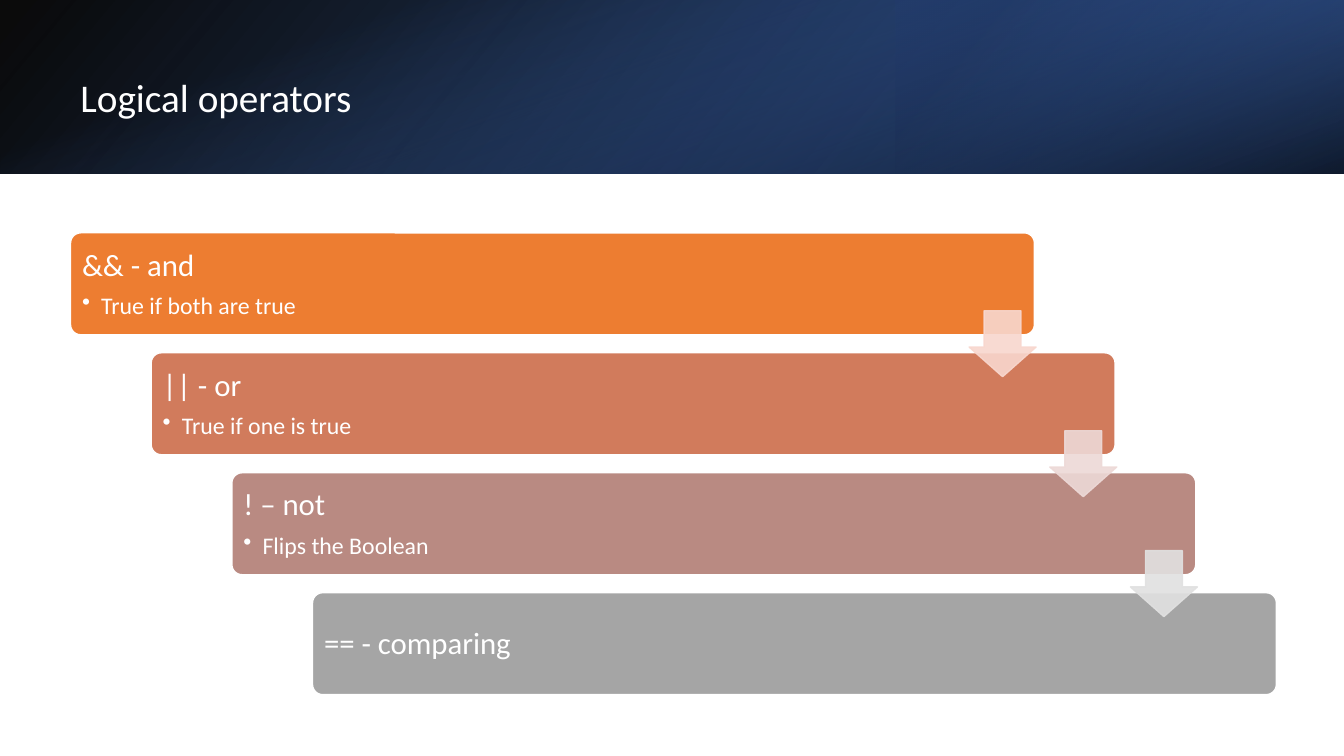
from dataclasses import dataclass

from lxml import etree
from pptx import Presentation
from pptx.dml.color import RGBColor
from pptx.enum.shapes import MSO_SHAPE
from pptx.enum.text import MSO_ANCHOR, MSO_AUTO_SIZE
from pptx.oxml.ns import qn
from pptx.util import Emu, Inches, Pt

RECT = MSO_SHAPE.RECTANGLE
ROUNDED = MSO_SHAPE.ROUNDED_RECTANGLE
DOWN_ARROW = MSO_SHAPE.DOWN_ARROW
MIDDLE = MSO_ANCHOR.MIDDLE
GROW = MSO_AUTO_SIZE.SHAPE_TO_FIT_TEXT

SLIDE_W, SLIDE_H = Inches(13.33), Inches(7.5)
BANNER_H = 0.23  # share of the slide height
LEFT, TOP = Inches(0.7), Inches(2.31)  # grid origin: the first card
COL, ROW = Inches(0.8), Inches(1.19)  # one stair step


@dataclass(frozen=True)
class Theme:
    font: str = "Calibri"
    text: str = "FFFFFF"
    outline: str = "FFFFFF"
    black: str = "000000"
    blue: str = "4472C4"
    mid_blue: str = "2F5597"
    dark_blue: str = "203864"
    title_pt: int = 28
    operator_pt: int = 22
    meaning_pt: int = 17
    line_pt: int = 1


THEME = Theme()


@dataclass(frozen=True)
class Stop:
    share: float
    color: str
    alpha: int = 100


@dataclass(frozen=True)
class Veil:
    """Gradient layer of the banner; left and width are shares of the slide width."""
    left: float
    width: float
    rotation: int
    flipped: bool
    angle: int
    stops: tuple[Stop, Stop]


@dataclass(frozen=True)
class Card:
    operator: str
    meaning: str
    color: str
    arrow: str
    text_cols: float = 10.06


VEILS = (
    Veil(0, 1, 0, True, 140, (Stop(0, THEME.black, 96), Stop(1, THEME.mid_blue))),
    Veil(2 / 3, 1 / 3, 180, True, 320,
         (Stop(0.19, THEME.dark_blue, 68), Stop(1, THEME.blue, 79))),
    Veil(0, 1, 90, False, 340, (Stop(0.23, THEME.blue, 0), Stop(0.99, THEME.black, 74))),
)
CARDS = (
    Card("&& - and", "True if both are true", "ED7D31", "F8D7CE", 10.49),
    Card("|| - or", "True if one is true", "D17B5C", "EDD9D7"),
    Card("! – not", "Flips the Boolean", "B98A82", "E1E1E1"),
    Card("== - comparing", "", "A5A5A5", ""),
)


def cell(col: float, row: float, cols: float, rows: float) -> tuple[Emu, ...]:
    """Turn grid units into left, top, width and height."""
    return (Emu(int(LEFT + col * COL)), Emu(int(TOP + row * ROW)),
            Emu(int(cols * COL)), Emu(int(rows * ROW)))


def set_alpha(sp, alphas) -> None:
    """Give each colour of a shape, in order, its opacity in percent."""
    for clr, alpha in zip(sp._element.spPr.iter(qn("a:srgbClr")), alphas):
        etree.SubElement(clr, qn("a:alpha"), val=str(alpha * 1000))


def add_veil(s, veil: Veil) -> None:
    x, y, w, h = veil.left * SLIDE_W, 0, veil.width * SLIDE_W, BANNER_H * SLIDE_H
    if veil.rotation == 90:
        x, y, w, h = x + (w - h) / 2, (h - w) / 2, h, w
    sp = s.shapes.add_shape(RECT, *(Emu(int(v)) for v in (x, y, w, h)))
    sp.shadow.inherit = False
    sp.line.fill.background()
    sp.rotation = veil.rotation
    if veil.flipped:
        sp._element.spPr.find(qn("a:xfrm")).set("flipH", "1")
    sp.fill.gradient()
    sp.fill.gradient_angle = 360 - veil.angle
    for gs, stop in zip(sp.fill.gradient_stops, veil.stops):
        gs.position = stop.share
        gs.color.rgb = RGBColor.from_string(stop.color)
    set_alpha(sp, [stop.alpha for stop in veil.stops])


def add_block(s, kind, box, color: str, line: str, adjustments):
    sp = s.shapes.add_shape(kind, *box)
    sp.shadow.inherit = False
    sp.fill.solid()
    sp.fill.fore_color.rgb = RGBColor.from_string(color)
    sp.line.color.rgb = RGBColor.from_string(line)
    sp.line.width = Pt(THEME.line_pt)
    for i, value in enumerate(adjustments):
        sp.adjustments[i] = value
    return sp


def write(p, text: str, *, size: int, after: int = 0, bullet: bool = False) -> None:
    """Fill a paragraph; after is the space below in percent of a line."""
    r = p.add_run()
    r.text = text
    r.font.name = THEME.font
    r.font.size = Pt(size)
    r.font.color.rgb = RGBColor.from_string(THEME.text)
    pPr = p._p.get_or_add_pPr()
    if after:
        p.line_spacing = 0.9
        etree.SubElement(pPr.get_or_add_spcAft(), qn("a:spcPct"), val=str(after * 1000))
    if bullet:
        p.level = 1
        indent = Inches(0.19)
        pPr.set("marL", str(indent))
        pPr.set("indent", str(-indent))
        etree.SubElement(pPr, qn("a:buChar"), char="•")


def add_text_frame(s, box):
    tf = s.shapes.add_textbox(*box).text_frame
    tf.word_wrap = True
    return tf


def add_card(s, step: int, card: Card) -> None:
    add_block(s, ROUNDED, cell(step, step, 11.95, 0.85), card.color, THEME.outline, [0.1])
    tf = add_text_frame(s, cell(step + 0.03, step + 0.03, card.text_cols, 0.8))
    tf.vertical_anchor = MIDDLE
    tf.margin_left = tf.margin_right = tf.margin_top = tf.margin_bottom = Inches(0.09)
    write(tf.paragraphs[0], card.operator, size=THEME.operator_pt, after=35)
    if card.meaning:
        write(tf.add_paragraph(), card.meaning, size=THEME.meaning_pt, after=15, bullet=True)


def add_arrow(s, step: int, color: str) -> None:
    box = cell(step + 11.14, step + 0.65, 0.83, 0.55)
    sp = add_block(s, DOWN_ARROW, box, color, color, [0.55, 0.45])
    set_alpha(sp, [90, 90])


def add_title(s, text: str) -> None:
    tf = add_text_frame(s, cell(0, -1.37, 7.64, 0.48))
    tf.auto_size = GROW
    write(tf.paragraphs[0], text, size=THEME.title_pt)


def main() -> None:
    prs = Presentation()
    prs.slide_width, prs.slide_height = SLIDE_W, SLIDE_H
    s = prs.slides.add_slide(prs.slide_layouts[6])
    for veil in VEILS:
        add_veil(s, veil)
    for step, card in enumerate(CARDS):
        add_card(s, step, card)
    for step, card in enumerate(CARDS[:-1]):
        add_arrow(s, step, card.arrow)
    add_title(s, "Logical operators")
    prs.save("out.pptx")


if __name__ == "__main__":
    main()
